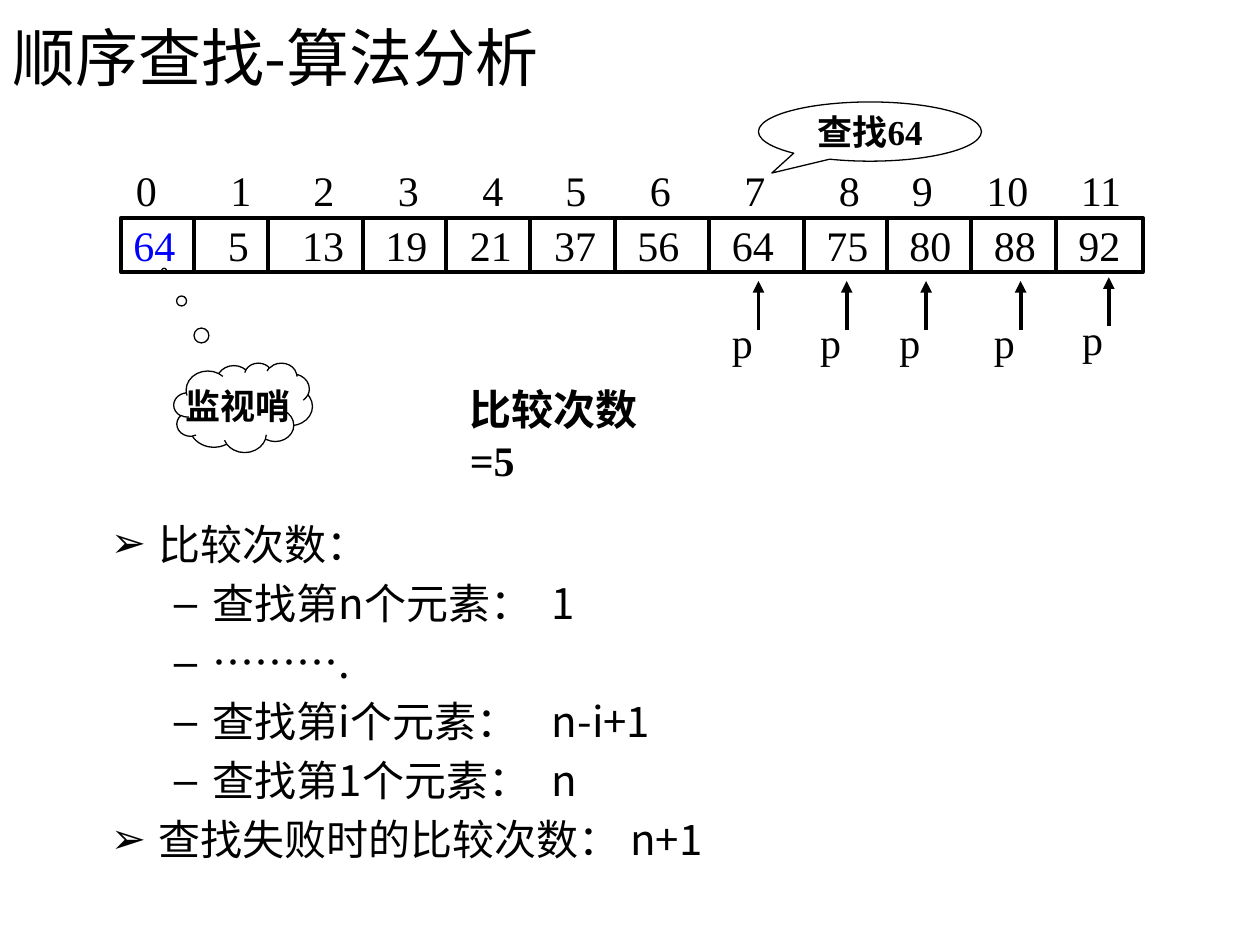
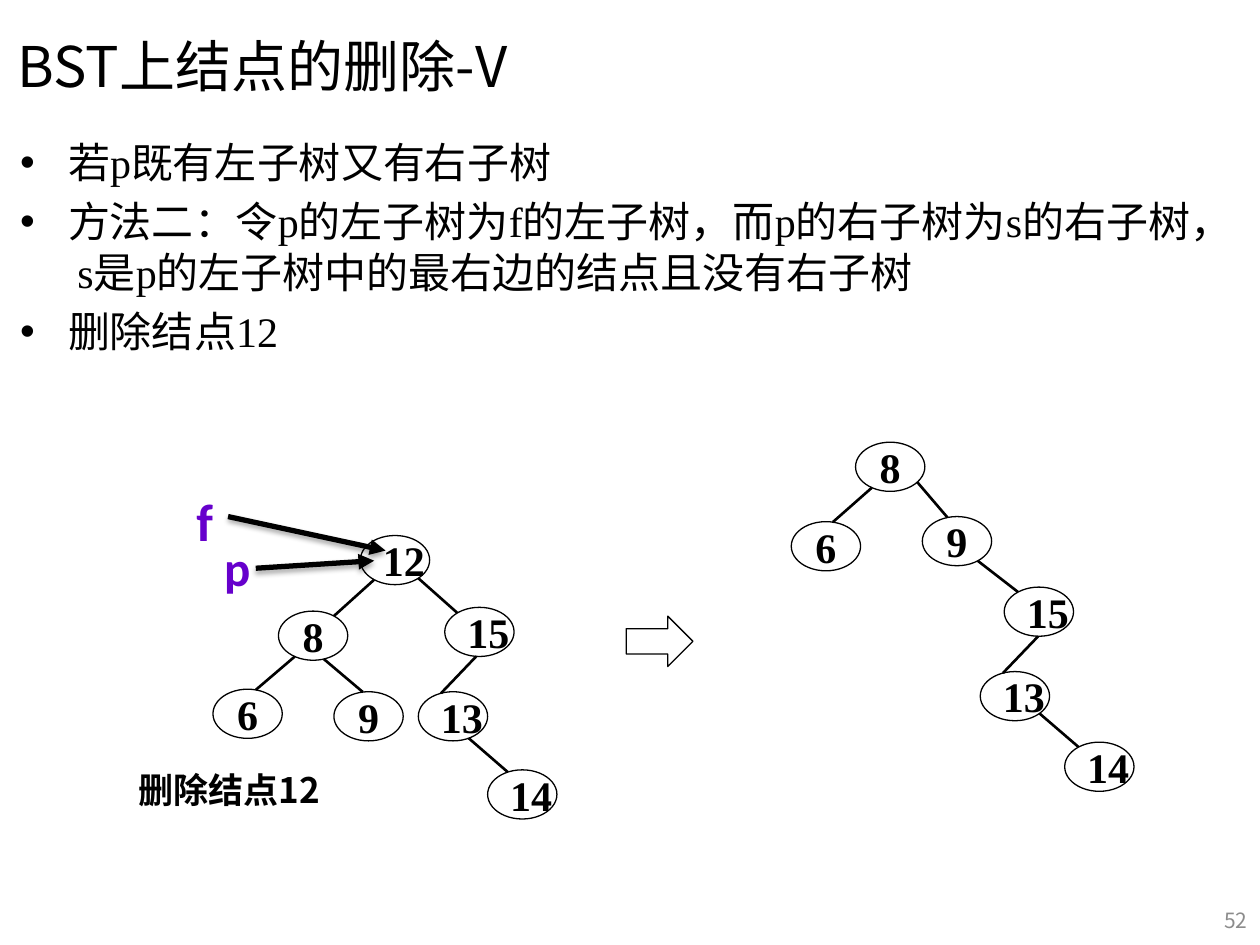
from dataclasses import dataclass
from math import sqrt

from lxml import etree
from pptx import Presentation
from pptx.dml.color import RGBColor
from pptx.enum.shapes import MSO_CONNECTOR, MSO_SHAPE
from pptx.enum.text import MSO_ANCHOR, MSO_AUTO_SIZE, PP_ALIGN
from pptx.oxml.ns import qn
from pptx.util import Inches, Pt

LEFT, CENTER, RIGHT = PP_ALIGN.LEFT, PP_ALIGN.CENTER, PP_ALIGN.RIGHT
MIDDLE, TOP = MSO_ANCHOR.MIDDLE, MSO_ANCHOR.TOP
NO_AUTOFIT = MSO_AUTO_SIZE.NONE
STRAIGHT = MSO_CONNECTOR.STRAIGHT
RECTANGLE, ELLIPSE = MSO_SHAPE.RECTANGLE, MSO_SHAPE.OVAL
CLOUD, SPEECH = MSO_SHAPE.CLOUD_CALLOUT, MSO_SHAPE.OVAL_CALLOUT
RIGHT_ARROW = MSO_SHAPE.RIGHT_ARROW


@dataclass(frozen=True)
class Theme:
    ink: RGBColor = RGBColor(0, 0, 0)
    sentinel: RGBColor = RGBColor(0, 0, 0xFF)
    pointer: RGBColor = RGBColor(0x66, 0, 0xCC)
    page: RGBColor = RGBColor(0x8C, 0x8C, 0x8C)
    title_font: str = "Noto Sans CJK JP"
    sans: str = "Noto Sans CJK SC"
    serif: str = "Times New Roman"
    latin: str = "Calibri"
    text_size: int = 24
    label_size: int = 20
    page_size: int = 12
    leading: int = 29
    thin: float = 0.75
    edge: float = 1.5
    frame: float = 2.25
    heavy: float = 3


THEME = Theme()
NODE_W, NODE_H = 0.55, 0.39


def inches(*lengths):
    return [Inches(length) for length in lengths]


def style(paragraph, size=THEME.text_size, font=THEME.serif, color=THEME.ink,
          bold=False, align=LEFT):
    paragraph.alignment = align
    face = paragraph.font
    face.size, face.bold, face.name = Pt(size), bold, font
    face.color.rgb = color
    east_asian = font if font.startswith("Noto") else THEME.sans
    defaults = paragraph._p.pPr.find(qn("a:defRPr"))
    etree.SubElement(defaults, qn("a:ea"), typeface=east_asian)


def write(shape, text, wrap=False, anchor=MIDDLE, **look):
    frame = shape.text_frame
    frame.word_wrap, frame.vertical_anchor = wrap, anchor
    frame.text = text
    style(frame.paragraphs[0], **look)
    return frame.paragraphs[0]


def add_label(shapes, box, text, **look):
    return write(shapes.add_textbox(*inches(*box)), text, **look)


def add_outline(shapes, kind, box, width=THEME.thin, adjustments=()):
    shape = shapes.add_shape(kind, *inches(*box))
    shape.shadow.inherit = False
    shape.fill.background()
    shape.line.color.rgb, shape.line.width = THEME.ink, Pt(width)
    for index, value in enumerate(adjustments):
        shape.adjustments[index] = value
    return shape


def add_line(shapes, start, end, width, arrow=False, shadow=False):
    line = shapes.add_connector(STRAIGHT, *inches(*start, *end))
    line.line.color.rgb, line.line.width = THEME.ink, Pt(width)
    if arrow:
        etree.SubElement(line.line._get_or_add_ln(), qn("a:tailEnd"), type="triangle")
    effects = etree.SubElement(line._element.spPr, qn("a:effectLst"))
    if shadow:
        cast = etree.SubElement(effects, qn("a:outerShdw"), blurRad=str(Pt(3.1)),
                                dist=str(Pt(1.8)), dir="5400000", rotWithShape="0")
        color = etree.SubElement(cast, qn("a:srgbClr"), val=str(THEME.ink))
        etree.SubElement(color, qn("a:alpha"), val="35000")


def set_tabs(paragraph, stops):
    tabs = etree.SubElement(paragraph._p.get_or_add_pPr(), qn("a:tabLst"))
    for stop in stops:
        etree.SubElement(tabs, qn("a:tab"), pos=str(Inches(stop)), algn="l")


def place(placeholder, box):
    (placeholder.left, placeholder.top,
     placeholder.width, placeholder.height) = inches(*box)


def set_title(slide, box, text, size):
    place(slide.shapes.title, box)
    slide.shapes.title.text_frame.auto_size = NO_AUTOFIT
    write(slide.shapes.title, text, wrap=True, size=size, font=THEME.title_font)


def set_list(slide, box, items, bullets, font):
    """Fill the body with (level, text) items; a tab in a text sets off its count."""
    body = slide.placeholders[1]
    place(body, box)
    frame = body.text_frame
    frame.auto_size, frame.vertical_anchor = NO_AUTOFIT, TOP
    frame.text = "\n".join(text for _, text in items)
    indents = ((0.38, -0.38), (0.81, -0.31))
    for index, (paragraph, (level, text)) in enumerate(zip(frame.paragraphs, items)):
        paragraph.level = level
        paragraph.line_spacing = Pt(THEME.leading)
        paragraph.space_before = Pt(4.8 if index else 0)
        properties = paragraph._p.get_or_add_pPr()
        margin, hanging = inches(*indents[level])
        properties.set("marL", str(margin))
        properties.set("indent", str(hanging))
        etree.SubElement(properties, qn("a:buChar"), char=bullets[level])
        if "\t" in text:
            set_tabs(paragraph, [3])
        style(paragraph, font=font)


def add_tabbed_row(shape, values, stops):
    frame = shape.text_frame
    frame.word_wrap, frame.vertical_anchor = True, MIDDLE
    frame.margin_right = 0
    row = frame.paragraphs[0]
    head = row.add_run()
    head.text = str(values[0])
    row.add_run().text = "".join(f"\t{value}" for value in values[1:])
    set_tabs(row, stops)
    style(row)
    return head


def add_array(slide, box):
    left, top, width, height = box
    values = (64, 5, 13, 19, 21, 37, 56, 64, 75, 80, 88, 92)
    value_stops = (0.75, 1.34, 2, 2.67, 3.34, 4, 4.75, 5.5, 6.16, 6.83, 7.5)
    index_stops = (0.75, 1.41, 2.08, 2.75, 3.41, 4.08, 4.83, 5.58, 6.16, 6.75, 7.5)
    dividers = (0.58, 1.17, 1.92, 2.58, 3.25, 3.92, 4.67, 5.42, 6.08, 6.75, 7.42)

    cells = slide.shapes.add_group_shape().shapes
    strip = add_outline(cells, RECTANGLE, box, THEME.frame)
    sentinel = add_tabbed_row(strip, values, value_stops)
    sentinel.font.color.rgb = THEME.sentinel
    for offset in dividers:
        x = left + offset
        add_line(cells, (x, top), (x, top + height), THEME.frame)

    indices = slide.shapes.add_textbox(
        *inches(left + 0.02, top - 0.42, width - 0.04, 0.39))
    add_tabbed_row(indices, range(len(values)), index_stops)


def add_search_pointer(slide, left, top):
    parts = slide.shapes.add_group_shape().shapes
    add_label(parts, (left, top, 0.31, 0.39), "p")
    x = left + 0.31
    add_line(parts, (x, top + 0.1), (x, top - 0.29), THEME.frame, arrow=True)


def add_callout(slide, kind, box, text, tip):
    callout = add_outline(slide.shapes, kind, box, adjustments=tip)
    write(callout, text, size=THEME.label_size, bold=True, align=CENTER)


def add_tree(slide, left, top, nodes, edges):
    """Draw nodes {key: (x, y)} and edges (parent, child, exit x, entry x).

    Each edge end lies on the outline of its node, at the given x inside it.
    """
    tree = slide.shapes.add_group_shape().shapes

    def rim(key, x, side):
        node_x, node_y = nodes[key]
        reach = sqrt(1 - (2 * x / NODE_W - 1) ** 2)
        return left + node_x + x, top + node_y + NODE_H / 2 * (1 + side * reach)

    for key, (x, y) in nodes.items():
        node = add_outline(tree, ELLIPSE, (left + x, top + y, NODE_W, NODE_H))
        write(node, str(key), bold=True, align=CENTER if key < 10 else LEFT)
    for parent, child, exit_x, entry_x in edges:
        add_line(tree, rim(parent, exit_x, 1), rim(child, entry_x, -1), THEME.edge)


def add_node_pointer(slide, box, name, size, start, end):
    add_line(slide.shapes, start, end, THEME.heavy, arrow=True, shadow=True)
    add_label(slide.shapes, box, name, anchor=TOP, size=size, font=THEME.latin,
              color=THEME.pointer, bold=True)


def build_search_slide(slide):
    set_title(slide, (0, 0.08, 9, 0.73), "顺序查找-算法分析", 36)
    set_list(slide, (0.78, 4.06, 9, 2.99), (
        (0, "比较次数："),
        (1, "查找第n个元素：\t1"),
        (1, "………."),
        (1, "查找第i个元素：\tn-i+1"),
        (1, "查找第1个元素：\tn"),
        (0, "查找失败时的比较次数： n+1"),
    ), "➢–", THEME.sans)
    add_array(slide, (0.96, 1.73, 8.11, 0.43))
    add_callout(slide, CLOUD, (1.38, 2.88, 1.1, 0.71), "监视哨", (-0.57, -1.53))
    add_callout(slide, SPEECH, (6.02, 0.81, 1.77, 0.47), "查找64", (-0.44, 0.7))
    for left, top in ((8.49, 2.49), (7.79, 2.52), (7.04, 2.52), (6.41, 2.52), (5.71, 2.52)):
        add_search_pointer(slide, left, top)
    count = add_label(slide.shapes, (3.63, 2.99, 1.85, 0.5), "比较次数=5",
                      wrap=True, anchor=TOP, bold=True)
    count.line_spacing = Pt(THEME.leading)


def build_deletion_slide(slide):
    set_title(slide, (0.04, 0.01, 9, 1.02), "BST上结点的删除-V", 32)
    set_list(slide, (0.06, 1.03, 9.67, 2.11), (
        (0, "若p既有左子树又有右子树"),
        (0, "方法二：令p的左子树为f的左子树，而p的右子树为s的右子树，"
            " s是p的左子树中的最右边的结点且没有右子树"),
        (0, "删除结点12"),
    ), "•", THEME.serif)
    add_label(slide.shapes, (9.57, 7.1, 0.43, 0.4), "52", wrap=True,
              size=THEME.page_size, font=THEME.sans, color=THEME.page, align=RIGHT)

    before = {12: (1.17, 0), 8: (0.52, 0.6), 6: (0, 1.22), 9: (0.96, 1.24),
              15: (1.84, 0.57), 13: (1.63, 1.24), 14: (2.18, 1.86)}
    add_tree(slide, 1.69, 4.25, before, (
        (12, 8, 0.11, 0.44), (12, 15, 0.46, 0.1), (8, 6, 0.13, 0.34),
        (8, 9, 0.36, 0.23), (15, 13, 0.25, 0.18), (13, 14, 0.4, 0.16)))
    add_outline(slide.shapes, RIGHT_ARROW, (4.97, 4.89, 0.53, 0.4))
    add_node_pointer(slide, (1.68, 4.22, 0.41, 0.57), "p", 28, (2.03, 4.51), (2.97, 4.45))
    add_node_pointer(slide, (1.46, 3.83, 0.34, 0.61), "f", 30, (1.81, 4.1), (3.06, 4.37))
    add_label(slide.shapes, (0.78, 6.07, 2.08, 0.39), "删除结点12",
              size=THEME.label_size, font=THEME.sans, bold=True, align=CENTER)

    after = {9: (1.04, 0.59), 8: (0.51, 0), 6: (0, 0.63),
             15: (1.69, 1.15), 13: (1.5, 1.82), 14: (2.17, 2.38)}
    add_tree(slide, 6.28, 3.51, after, (
        (8, 9, 0.49, 0.2), (9, 15, 0.44, 0.11), (8, 6, 0.13, 0.33),
        (15, 13, 0.27, 0.18), (13, 14, 0.47, 0.11)))


def main():
    deck = Presentation()
    deck.slide_width, deck.slide_height = inches(10, 7.5)
    title_and_list = deck.slide_layouts[1]
    for build in (build_search_slide, build_deletion_slide):
        build(deck.slides.add_slide(title_and_list))
    deck.save("out.pptx")


if __name__ == "__main__":
    main()
